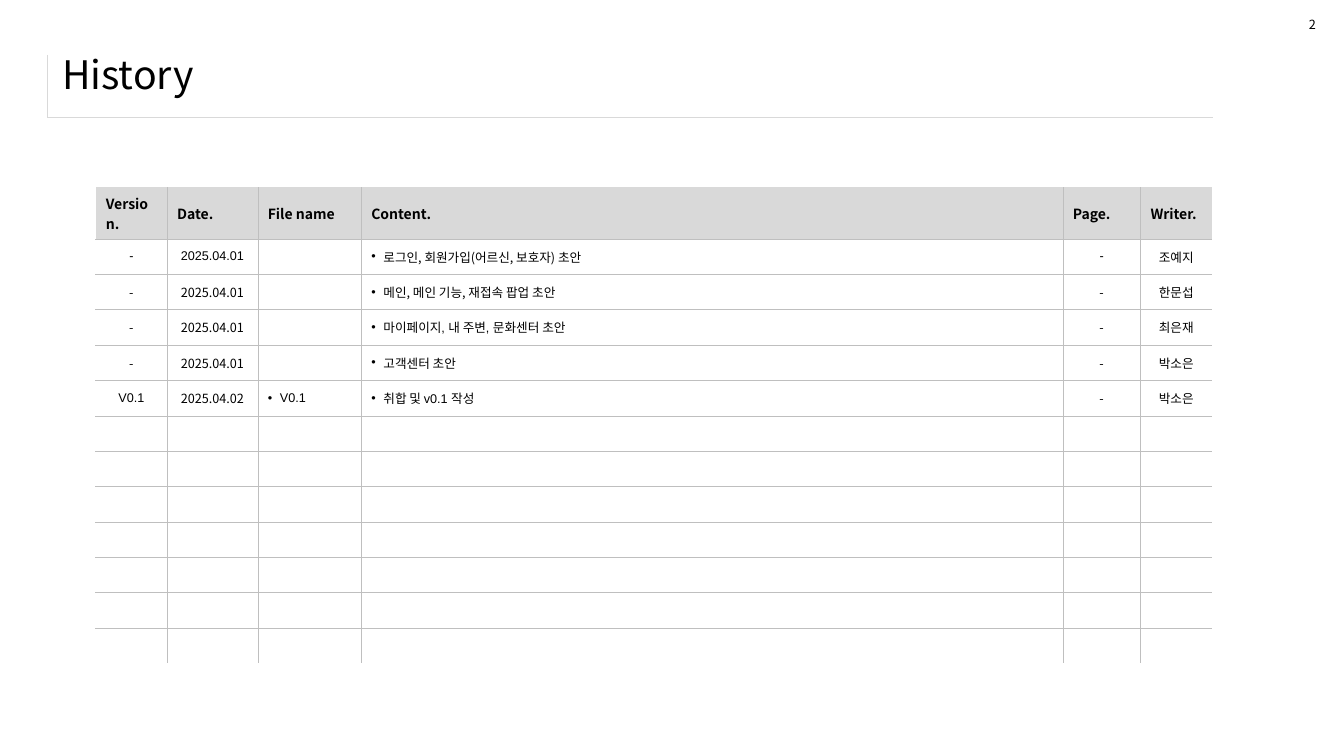
from lxml.etree import SubElement
from pptx import Presentation
from pptx.dml.color import RGBColor
from pptx.enum.text import MSO_ANCHOR as Anchor, PP_ALIGN as Align
from pptx.oxml.ns import qn
from pptx.util import Inches, Pt

WIDTH, HEIGHT = Inches(13.33), Inches(7.5)
SANS, LATIN = "Noto Sans CJK KR", "Arial"
BLACK, WHITE, GRAY, PALE = "000000", "FFFFFF", "BFBFBF", "D9D9D9"
PLAIN_STYLE = "{2D5ABB26-0587-4C30-8999-92F81FD0307C}"

COLUMNS = [5.3, 6.75, 7.7, 52.2, 5.78, 5.33]
HEADINGS = ["Version.", "Date.", "File name", "Content.", "Page.", "Writer."]
FILE, CONTENT = 2, 3
EMPTY_ROWS = 7
ENTRIES = [
    (["-", "2025.04.01", "", "로그인, 회원가입(어르신, 보호자) 초안", "-", "조예지"], {0, 1, 4}),
    (["-", "2025.04.01", "", "메인, 메인 기능, 재접속 팝업 초안", "-", "한문섭"], set()),
    (["-", "2025.04.01", "", "마이페이지, 내 주변, 문화센터 초안", "-", "최은재"], {CONTENT}),
    (["-", "2025.04.01", "", "고객센터 초안", "-", "박소은"], {CONTENT}),
    (["V0.1", "2025.04.02", "V0.1", "취합 및 v0.1 작성", "-", "박소은"], {0, FILE, CONTENT}),
]


def across(percent):
    """Turn a percentage of the slide width into a length."""
    return round(WIDTH * percent / 100)


def down(percent):
    """Turn a percentage of the slide height into a length."""
    return round(HEIGHT * percent / 100)


def color(code):
    """Turn a hex string into a colour."""
    return RGBColor.from_string(code)


def style_text(para, size, font=SANS, bold=False):
    """Format every run of a paragraph."""
    for span in para.runs:
        span.font.size, span.font.bold, span.font.name = Pt(size), bold, font
        span.font.color.rgb = color(BLACK)
        SubElement(span.font._element, qn("a:ea"), typeface=SANS)
    if not para.runs:
        SubElement(para._p, qn("a:endParaRPr"), sz=str(size * 100))


def add_bullet(para):
    """Give a paragraph a hanging bullet."""
    properties = para._p.get_or_add_pPr()
    properties.set("marL", str(Inches(0.12)))
    properties.set("indent", str(-Inches(0.12)))
    SubElement(properties, qn("a:buFont"), typeface=LATIN)
    SubElement(properties, qn("a:buChar"), char="•")


def add_label(page, text, left, top, width, height, size, wrap=True):
    """Add a text box and return its paragraph."""
    box = page.shapes.add_textbox(across(left), down(top), across(width), down(height))
    frame = box.text_frame
    frame.text, frame.word_wrap = text, wrap
    frame.vertical_anchor = Anchor.MIDDLE if wrap else Anchor.TOP
    style_text(frame.paragraphs[0], size)
    return frame.paragraphs[0]


def add_grid(page, left, top, columns, rows):
    """Add an unstyled table with the given column and row shares."""
    table = page.shapes.add_table(len(rows), len(columns), across(left), down(top),
                                  across(sum(columns)), down(sum(rows))).table
    table.first_row = table.horz_banding = False
    table._tbl.tblPr.find(qn("a:tableStyleId")).text = PLAIN_STYLE
    for column, share in zip(table.columns, columns):
        column.width = across(share)
    for row, share in zip(table.rows, rows):
        row.height = down(share)
    return table


def set_borders(cell, **sides):
    """Draw the sides L, R, T and B given as colour and width pairs."""
    properties = cell._tc.get_or_add_tcPr()
    for side in "LRTB":
        if side in sides:
            code, width = sides[side]
            line = SubElement(properties, qn(f"a:ln{side}"), w=str(Pt(width)))
            fill = SubElement(line, qn("a:solidFill"))
            SubElement(fill, qn("a:srgbClr"), val=code)


def frame_cell(cell, row, column, last_row, last_column):
    """Draw inner rules in gray and leave the outer edge open."""
    inner, outer = (GRAY, 0.25), (WHITE, 1)
    sides = {"L": inner if column else outer, "B": inner if row < last_row else outer}
    if row:
        sides["T"] = inner
    if column < last_column:
        sides["R"] = inner
    set_borders(cell, **sides)


def fill_cell(cell, text, column, is_heading, font):
    """Write and format one cell of the history table."""
    cell.text, cell.vertical_anchor = text, Anchor.MIDDLE
    para = cell.text_frame.paragraphs[0]
    if is_heading:
        cell.fill.solid()
        cell.fill.fore_color.rgb = color(PALE)
    else:
        cell.fill.background()
        if column not in (FILE, CONTENT):
            para.alignment = Align.CENTER
        elif text:
            add_bullet(para)
    style_text(para, 10 if is_heading else 9, font, is_heading)


def add_history(page):
    """Add the version history table."""
    empty = ([""] * len(COLUMNS), set())
    records = [(HEADINGS, set())] + ENTRIES + [empty] * EMPTY_ROWS
    shares = [6.8] + [4.68] * (len(records) - 1)
    table = add_grid(page, 7.13, 24.8, COLUMNS, shares)
    for row, (texts, latin_columns) in enumerate(records):
        for column, text in enumerate(texts):
            cell = table.cell(row, column)
            frame_cell(cell, row, column, len(records) - 1, len(COLUMNS) - 1)
            font = LATIN if column in latin_columns else SANS
            fill_cell(cell, text, column, row == 0, font)


def add_title(page):
    """Add the title and its ruled corner."""
    corner = add_grid(page, 3.53, 7.25, [86.7], [8.22]).cell(0, 0)
    set_borders(corner, L=(PALE, 0.25), B=(PALE, 0.25))
    corner.fill.background()
    title = add_label(page, "History", 3.9, 5.97, 93.68, 8.4, 28)
    title.line_spacing = 0.9


def main():
    """Build the slide and save it."""
    deck = Presentation()
    deck.slide_width, deck.slide_height = WIDTH, HEIGHT
    page = deck.slides.add_slide(deck.slide_layouts[6])
    add_title(page)
    add_history(page)
    add_label(page, "2", 96.64, 1.6, 2.03, 3.33, 9, wrap=False)
    deck.save("out.pptx")


if __name__ == "__main__":
    main()
